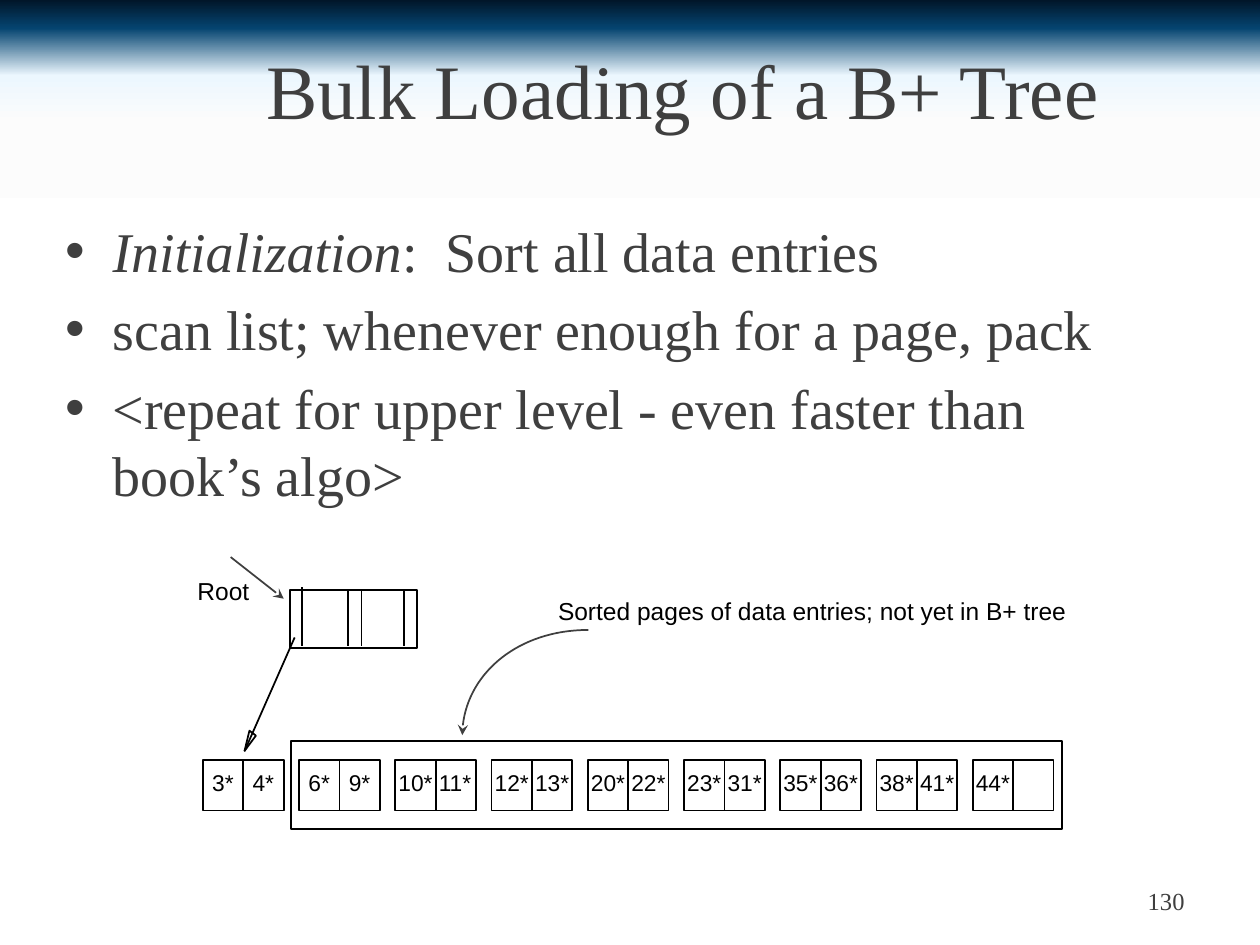
from lxml import etree
from pptx import Presentation, util as u
from pptx.dml.color import RGBColor
from pptx.enum import shapes, text
from pptx.oxml.ns import qn

GREY, BLACK = "3F3F3F", "000000"
SERIF, SANS = "Times New Roman", "Arial"
BACKGROUND = [(0, "011629"), (3, "054470"), (8, "ECF7FE"),
              (13, "FCFCFC"), (21, "FFFFFF"), (98, "FFFFFF")]
BULLETS = [[("Initialization", True), (":  Sort all data entries", False)],
           [("scan list; whenever enough for a page, pack", False)],
           [("<repeat for upper level - even faster than book’s algo>", False)]]
PAGES = [("3*", "4*"), ("6*", "9*"), ("10*", "11*"), ("12*", "13*"), ("20*", "22*"),
         ("23*", "31*"), ("35*", "36*"), ("38*", "41*"), ("44*",)]


def color(value):
    """Turn a hex string into a colour."""
    return RGBColor.from_string(value)


def set_font(paragraph, size, name, value):
    """Set the font of a whole paragraph."""
    paragraph.font.size = u.Pt(size)
    paragraph.font.name = name
    paragraph.font.color.rgb = color(value)


def set_line(shape, value):
    """Give a shape or connector a one-point line."""
    shape.line.color.rgb = color(value)
    shape.line.width = u.Pt(1)


def add_arrowhead(shape, end):
    """Put a stealth arrowhead on headEnd or tailEnd."""
    etree.SubElement(shape.line._get_or_add_ln(), qn(f"a:{end}"), type="stealth")


def add_frame(slide, box):
    """Add a textless text box and return its frame."""
    frame = slide.shapes.add_textbox(*map(u.Cm, box)).text_frame
    frame.word_wrap = True
    return frame


def add_label(slide, box, words, size):
    """Add a one-line diagram label."""
    frame = add_frame(slide, box)
    frame.word_wrap = False
    frame.auto_size = text.MSO_AUTO_SIZE.SHAPE_TO_FIT_TEXT
    frame.text = words
    set_font(frame.paragraphs[0], size, SANS, BLACK)


def add_outline(slide, box):
    """Add an unfilled black rectangle."""
    shape = slide.shapes.add_shape(shapes.MSO_SHAPE.RECTANGLE, *map(u.Cm, box))
    shape.shadow.inherit = False
    shape.fill.background()
    set_line(shape, BLACK)
    return shape


def add_segment(slide, ends, value=BLACK):
    """Add a straight line between two points."""
    connector = slide.shapes.add_connector(shapes.MSO_CONNECTOR.STRAIGHT, *map(u.Cm, ends))
    etree.SubElement(connector._element.spPr, qn("a:effectLst"))
    set_line(connector, value)
    return connector


def add_freeform(slide, points, value, close):
    """Add an unfilled outline through the points."""
    (left, top), *rest = [(u.Cm(x), u.Cm(y)) for x, y in points]
    builder = slide.shapes.build_freeform(left, top)
    builder.add_line_segments(rest, close=close)
    shape = builder.convert_to_shape()
    shape.shadow.inherit = False
    shape.fill.background()
    set_line(shape, value)
    return shape


def paint_background(slide):
    """Fill the background with a downward gradient."""
    fill = slide.background.fill
    fill.gradient()
    fill.gradient_angle = 270
    stops = next(slide._element.iter(qn("a:gsLst")))
    for stop in list(stops):
        stops.remove(stop)
    for position, value in BACKGROUND:
        stop = etree.SubElement(stops, qn("a:gs"), pos=str(position * 1000))
        etree.SubElement(stop, qn("a:srgbClr"), val=value)


def add_line_of_text(slide, box, words, size, alignment):
    """Add a vertically centred title or page number."""
    frame = add_frame(slide, box)
    frame.vertical_anchor = text.MSO_ANCHOR.MIDDLE
    frame.text = words
    paragraph = frame.paragraphs[0]
    paragraph.alignment = alignment
    set_font(paragraph, size, SERIF, GREY)


def add_bullets(slide, box):
    """Add the bulleted steps."""
    frame = add_frame(slide, box)
    for index, runs in enumerate(BULLETS):
        paragraph = frame.add_paragraph() if index else frame.paragraphs[0]
        properties = paragraph._p.get_or_add_pPr()
        properties.set("marL", str(u.Cm(0.95)))
        properties.set("indent", str(u.Cm(-0.95)))
        etree.SubElement(properties, qn("a:buFont"), typeface=SANS)
        etree.SubElement(properties, qn("a:buChar"), char="•")
        if index:
            paragraph.space_before = u.Pt(6.4)
        set_font(paragraph, 32, SERIF, GREY)
        for words, italic in runs:
            run = paragraph.add_run()
            run.text = words
            run.font.italic = italic


def add_root(slide, box):
    """Draw the root node, its label and its pointer to the first page."""
    left, top, width, height = box
    add_outline(slide, box)
    for offset, rise in [(0.25, 0.05), (1.17, 0), (1.45, 0), (2.31, 0)]:
        x = left + offset
        add_segment(slide, (x, top - rise, x, top + height - 0.03))
    tip_x, tip_y = left - 0.91, top + 3.25
    add_segment(slide, (left + 0.1, top + 0.96, tip_x, tip_y))
    head = [(tip_x + 0.23, tip_y - 0.31), (tip_x, tip_y), (tip_x + 0.1, tip_y - 0.41)]
    add_freeform(slide, head, BLACK, True)
    add_label(slide, (left - 2.11, top - 0.41, 1.63, 0.84), "Root", 14)
    arrow = add_segment(slide, (left - 1.19, top - 0.66, left - 0.12, top + 0.18), GREY)
    add_arrowhead(arrow, "tailEnd")


def add_pages(slide, box):
    """Draw the row of leaf pages and the frame round the unlinked ones."""
    left, top, width, height = box
    pitch, page_width = 1.94, 1.63
    cell = page_width / 2
    add_outline(slide, (left + 1.78, top - 0.38, width - 1.61, height + 0.76))
    for index, entries in enumerate(PAGES):
        x = left + index * pitch
        page = add_outline(slide, (x, top, page_width, height))
        divider = add_segment(slide, (x + cell, top, x + cell, top + height))
        divider.begin_connect(page, 0)
        divider.end_connect(page, 2)
        for column, entry in enumerate(entries):
            label_width = 0.94 if len(entry) == 2 else 1.19
            label_left = x + (column + 0.5) * cell - label_width / 2
            add_label(slide, (label_left, top + 0.05, label_width, 0.81), entry, 13)


def add_caption(slide, box):
    """Add the caption and the curved arrow down to the pages."""
    left, top, width, height = box
    add_label(slide, box, "Sorted pages of data entries; not yet in B+ tree", 14)
    x, y = left - 1.68, top + 0.81
    curve = add_freeform(slide, [(x, y + 2.12), (x + 2.54, y)], GREY, False)
    segment = next(curve._element.iter(qn("a:lnTo")))
    segment.tag = qn("a:cubicBezTo")
    end = segment[0]
    across, down = int(end.get("x")), u.Cm(2.12)
    for control_x, control_y in [(0, int(down * 0.45)), (int(across * 0.45), 0)]:
        end.addprevious(etree.Element(qn("a:pt"), x=str(control_x), y=str(control_y)))
    add_arrowhead(curve, "headEnd")


def main():
    """Build and save the slide."""
    presentation = Presentation()
    presentation.slide_width, presentation.slide_height = u.Cm(25.4), u.Cm(19.05)
    slide = presentation.slides.add_slide(presentation.slide_layouts[6])
    paint_background(slide)
    add_line_of_text(slide, (18.21, 17.65, 5.92, 1.02), "130", 14, text.PP_ALIGN.RIGHT)
    add_line_of_text(slide, (2.97, 0.2, 21.59, 3.18), "Bulk Loading of a B+ Tree",
                     44, text.PP_ALIGN.CENTER)
    add_bullets(slide, (1.07, 4.24, 23.06, 11.33))
    add_pages(slide, (4.09, 15.32, 17.15, 1.02))
    add_root(slide, (5.84, 11.89, 2.57, 1.17))
    add_caption(slide, (11, 11.89, 11.43, 0.84))
    presentation.save("out.pptx")


if __name__ == "__main__":
    main()
